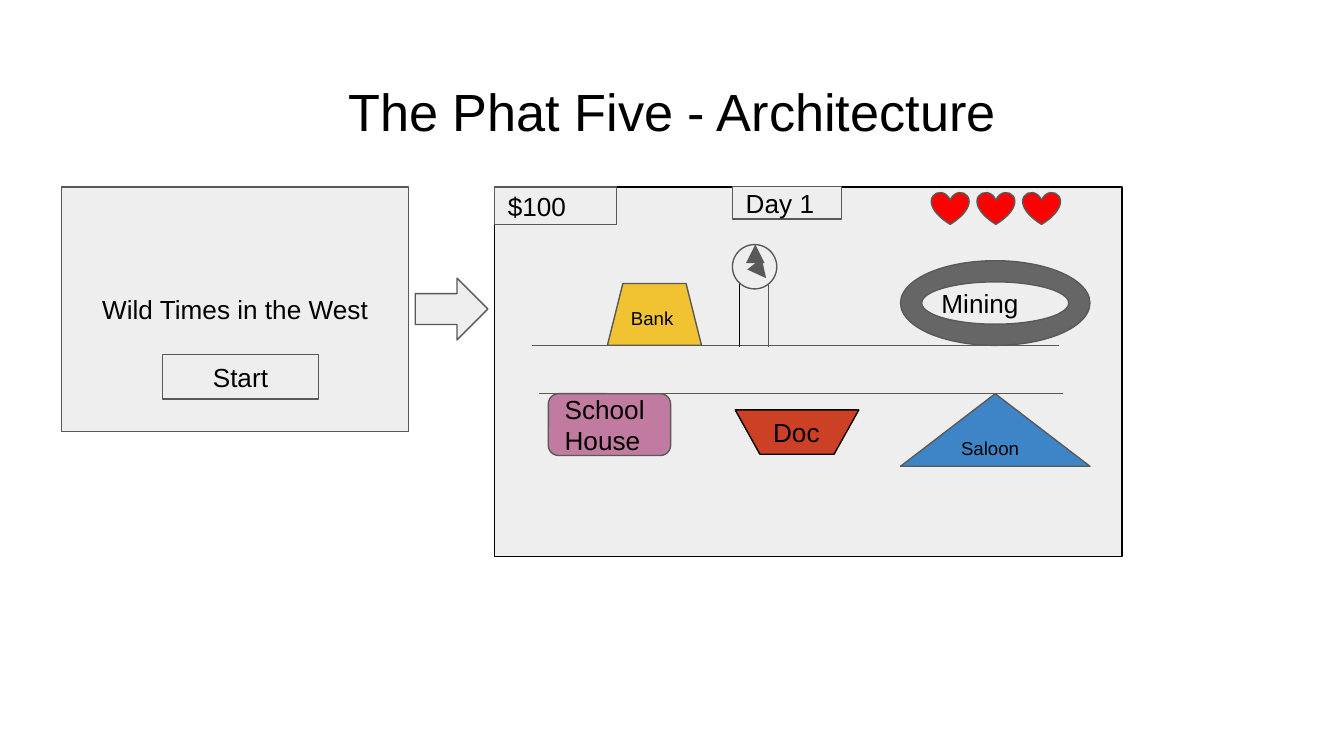
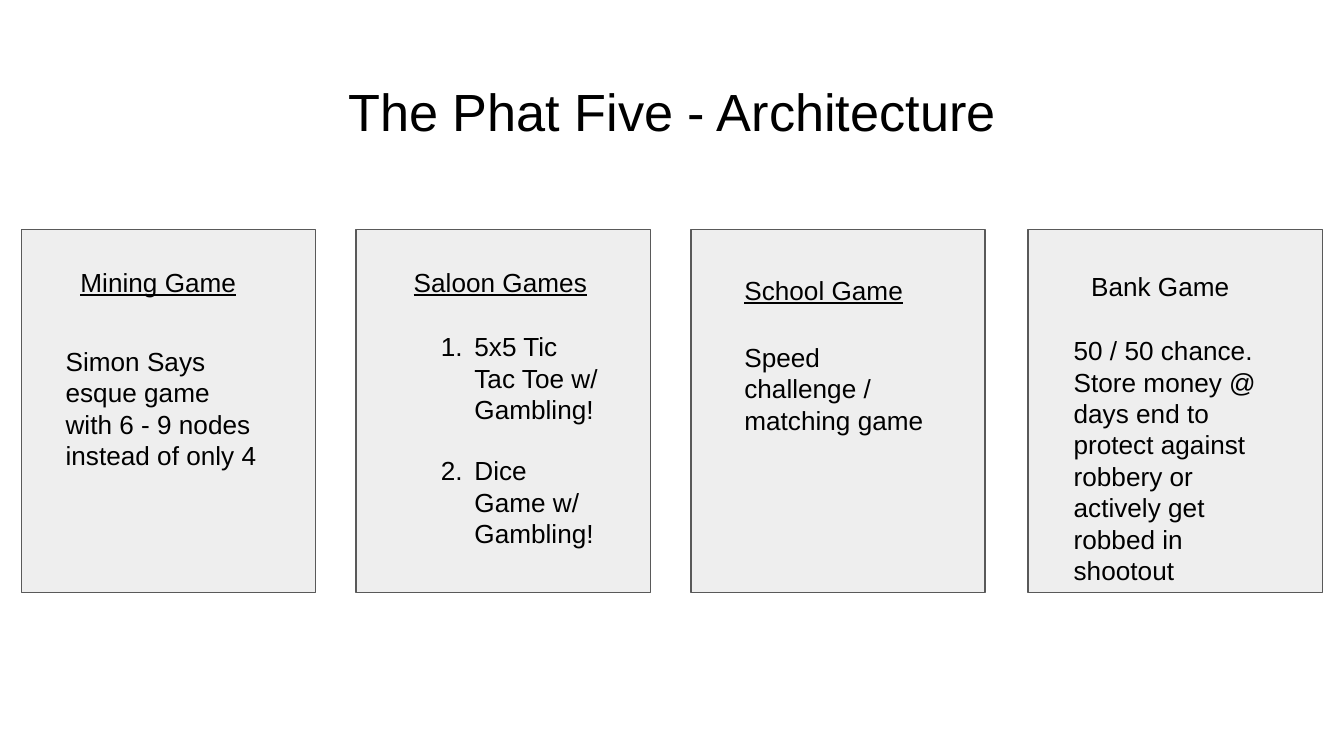
from lxml.etree import SubElement
from pptx import Presentation
from pptx.dml.color import RGBColor
from pptx.enum.shapes import MSO_CONNECTOR, MSO_SHAPE as SHAPE
from pptx.enum.text import MSO_ANCHOR as ANCHOR, MSO_AUTO_SIZE, PP_ALIGN as ALIGN
from pptx.oxml.ns import qn
from pptx.util import Pt

PX = 9144  # 100 px to the inch
FONT = "Arial"
BLACK, GREY, PALE = "000000", "595959", "EEEEEE"
RED, GOLD, BLUE = "FF0000", "F1C232", "3D85C6"
PINK, DARK, RUST = "C27BA0", "666666", "CC4125"
TITLE = "The Phat Five - Architecture"


def px(*lengths):
    return [n * PX for n in lengths]


def color(hex_string):
    return RGBColor.from_string(hex_string)


def write(sp, text, size=14, align=ALIGN.LEFT, anchor=ANCHOR.TOP, underline=False):
    tf = sp.text_frame
    tf.text = text
    tf.word_wrap = True
    tf.auto_size = MSO_AUTO_SIZE.NONE
    tf.vertical_anchor = anchor
    tf.margin_left, tf.margin_top, tf.margin_right, tf.margin_bottom = px(10, 10, 10, 10)
    for p in tf.paragraphs:
        p.alignment = align
        p.space_before = Pt(0)
        for r in p.runs:
            r.font.name, r.font.size = FONT, Pt(size)
            r.font.color.rgb = color(BLACK)
            if underline:
                r.font.underline = True


def shape(s, kind, x, y, w, h, text="", fill=PALE, line=GREY, size=14, align=ALIGN.LEFT):
    sp = s.shapes.add_shape(kind, *px(x, y, w, h))
    sp.shadow.inherit = False
    sp.fill.solid()
    sp.fill.fore_color.rgb = color(fill)
    sp.line.color.rgb = color(line)
    sp.line.width = Pt(0.75)
    if text:
        write(sp, text, size, align, ANCHOR.MIDDLE)


def line(s, x1, y1, x2, y2, hex_string=GREY, arrow=False):
    c = s.shapes.add_connector(MSO_CONNECTOR.STRAIGHT, *px(x1, y1, x2, y2))
    c.line.color.rgb = color(hex_string)
    c.line.width = Pt(0.75)
    pr = c._element.spPr
    if arrow:
        SubElement(pr.find(qn("a:ln")), qn("a:tailEnd"), type="triangle", w="lg", len="lg")
    SubElement(pr, qn("a:effectLst"))


def textbox(s, x, y, w, h, text, underline=False):
    write(s.shapes.add_textbox(*px(x, y, w, h)), text, underline=underline)


def place(sp, x, y, w, h):
    sp.left, sp.top, sp.width, sp.height = px(x, y, w, h)


def titled_slide(prs, layout):
    s = prs.slides.add_slide(prs.slide_layouts[layout])
    place(s.shapes.title, 34, 49, 932, 63)
    write(s.shapes.title, TITLE, 28, ALIGN.CENTER)
    return s


def numbered_list(sp, items):
    write(sp, "\n".join(items))
    for i, p in enumerate(sp.text_frame.paragraphs):
        p.space_before = Pt(16 if i else 0)
        pr = p._p.get_or_add_pPr()
        pr.set("marL", str(50 * PX))
        pr.set("indent", str(-25 * PX))
        SubElement(pr, qn("a:buFont"), typeface=FONT)
        SubElement(pr, qn("a:buAutoNum"), type="arabicPeriod")


def start_screen(s, x, y, w, h):
    shape(s, SHAPE.RECTANGLE, x, y, w, h, "Wild Times in the West", align=ALIGN.CENTER)
    shape(s, SHAPE.RECTANGLE, x + 75, y + 125, 116, 33, "Start", align=ALIGN.CENTER)


def clock_tower(s, x, y):
    line(s, x + 5, y + 28, x + 5, y + 76, BLACK)
    line(s, x + 27, y + 29, x + 27, y + 76)
    shape(s, SHAPE.OVAL, x, y, 33, 33)
    line(s, x + 17, y + 21, x + 17, y, arrow=True)
    line(s, x + 17, y + 15, x + 25, y + 25, arrow=True)


def town_screen(s, x, y, w, h):
    shape(s, SHAPE.FLOWCHART_PROCESS, x, y, w, h, line=BLACK)
    # Status bar
    shape(s, SHAPE.RECTANGLE, x, y, 91, 28, "$100")
    shape(s, SHAPE.RECTANGLE, x + 177, y, 81, 24, "Day 1")
    for i in range(3):
        shape(s, SHAPE.HEART, x + 325 + 34 * i, y + 4, 28, 24, fill=RED)
    # Street
    line(s, x + 28, y + 118, x + 420, y + 118)
    line(s, x + 33, y + 154, x + 423, y + 154)
    # Buildings
    for kind, dx, dy, bw, bh, name, fill, edge, size in (
        (SHAPE.TRAPEZOID, 84, 72, 70, 46, "Bank", GOLD, GREY, 10),
        (SHAPE.ISOSCELES_TRIANGLE, 302, 154, 141, 54, "Saloon", BLUE, GREY, 10),
        (SHAPE.ROUNDED_RECTANGLE, 40, 154, 91, 46, "School\nHouse", PINK, GREY, 14),
        (SHAPE.DONUT, 302, 55, 141, 63, "Mining", DARK, GREY, 14),
        (SHAPE.FLOWCHART_MANUAL_OPERATION, 179, 166, 92, 33, "Doc", RUST, BLACK, 14),
    ):
        shape(s, kind, x + dx, y + dy, bw, bh, name, fill, edge, size)
    clock_tower(s, x + 177, y + 43)


def game_card(s, x, y, heading, heading_box, body, body_box, underline=True):
    """Boxes are left, top, width, height, measured from the card's corner."""
    for text, (dx, dy, w, h), under in (
        (heading, heading_box, underline), (body, body_box, False),
    ):
        if isinstance(text, list):
            sp = s.placeholders[1]
            place(sp, x + dx, y + dy, w, h)
            numbered_list(sp, text)
        else:
            textbox(s, x + dx, y + dy, w, h, text, under)


def screens_slide(prs):
    s = titled_slide(prs, 5)
    start_screen(s, 46, 139, 258, 182)
    shape(s, SHAPE.RIGHT_ARROW, 309, 207, 54, 46)
    town_screen(s, 368, 139, 467, 275)


def games_slide(prs):
    s = titled_slide(prs, 1)
    top = 171
    cards = (
        (16, "Mining Game", (34, 17, 141, 37),
         "Simon Says esque game with 6 - 9 nodes instead of only 4",
         (23, 76, 163, 147), True),
        (265, "Saloon Games", (33, 17, 152, 37),
         ["5x5 Tic Tac Toe w/ Gambling!", "Dice Game w/ Gambling!"],
         (28, 65, 163, 170), True),
        (514, "School Game", (30, 23, 164, 30),
         "Speed challenge / matching game", (30, 73, 160, 162), True),
        (765, "Bank Game", (37, 20, 160, 30),
         "50 / 50 chance.\nStore money @ days end to protect against robbery "
         "or actively get robbed in shootout", (24, 68, 172, 188), False),
    )
    for left, *_ in cards:
        shape(s, SHAPE.RECTANGLE, left, top, 219, 270)
    # The list placeholder goes in front of the cards
    s.shapes._spTree.append(s.placeholders[1]._element)
    for left, *content in cards:
        game_card(s, left, top, *content)


def main():
    prs = Presentation()
    prs.slide_width = 1000 * PX
    prs.slide_height = prs.slide_width * 9 // 16
    screens_slide(prs)
    games_slide(prs)
    prs.save("out.pptx")


if __name__ == "__main__":
    main()
